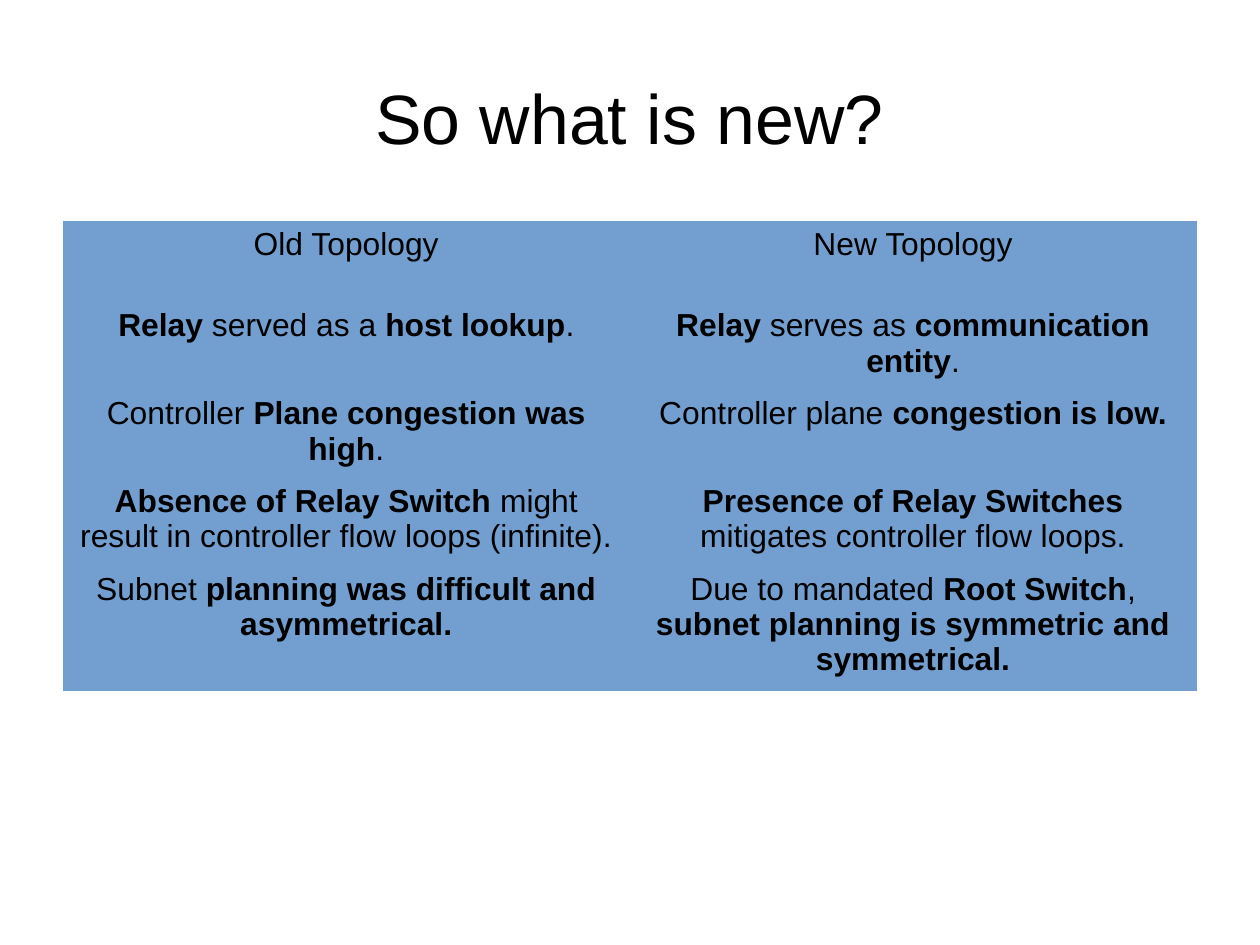
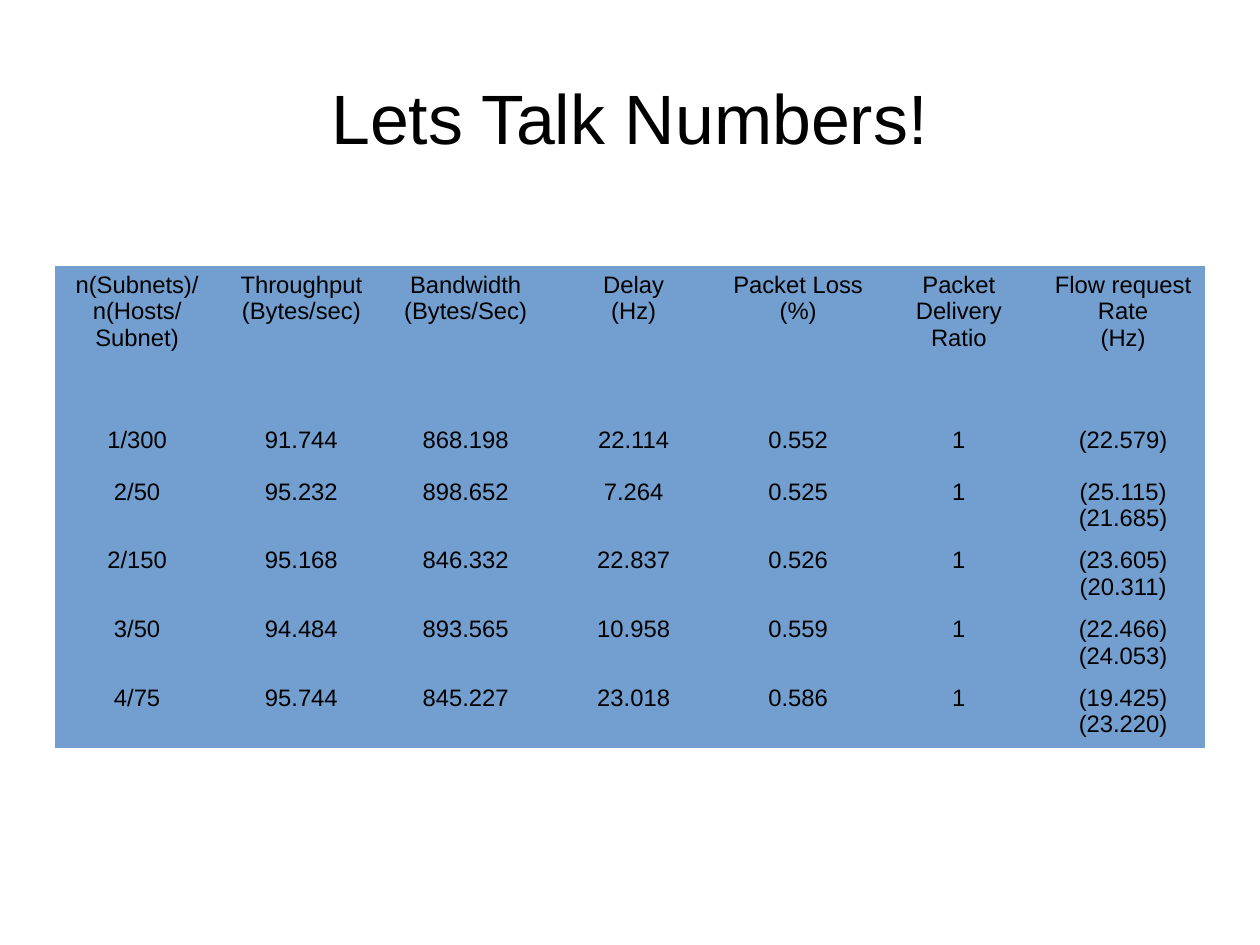
from pptx import Presentation
from pptx.dml.color import RGBColor
from pptx.enum.text import MSO_ANCHOR, PP_ALIGN
from pptx.util import Pt

# Shared look
FONT = "Arial"
INK = "000000"
CELL_BLUE = "729FCF"
NO_STYLE_NO_GRID = "{2D5ABB26-0587-4C30-8999-92F81FD0307C}"
SLIDE_SIZE = (793.75, 595.25)
TITLE_BOX = (39.6, 23.8, 714.2, 99.2)

# Text between ** marks is bold; a line break starts a new paragraph
TOPOLOGIES = [
    ("Old Topology", "New Topology"),
    ("**Relay** served as a **host lookup**.",
     "**Relay** serves as **communication entity**."),
    ("Controller **Plane congestion was high**.",
     "Controller plane **congestion is low.**"),
    ("**Absence of Relay Switch** might result in controller flow loops (infinite).",
     "**Presence of Relay Switches** mitigates controller flow loops."),
    ("Subnet **planning was difficult and asymmetrical.**",
     "Due to mandated **Root Switch**, **subnet planning is symmetric and symmetrical.**"),
]
MEASUREMENTS = [
    ("n(Subnets)/n(Hosts/Subnet)", "Throughput (Bytes/sec)", "Bandwidth (Bytes/Sec)",
     "Delay\n(Hz)", "Packet Loss (%)", "Packet Delivery Ratio", "Flow request Rate\n(Hz)"),
    ("1/300", "91.744", "868.198", "22.114", "0.552", "1", "(22.579)"),
    ("2/50", "95.232", "898.652", "7.264", "0.525", "1", "(25.115)(21.685)"),
    ("2/150", "95.168", "846.332", "22.837", "0.526", "1", "(23.605) (20.311)"),
    ("3/50", "94.484", "893.565", "10.958", "0.559", "1", "(22.466)\n(24.053)"),
    ("4/75", "95.744", "845.227", "23.018", "0.586", "1", "(19.425)\n(23.220)"),
]


def color(hex_code):
    return RGBColor.from_string(hex_code)


def write(frame, text, size):
    """Fill a text frame with centred paragraphs, run by run."""
    for i, line in enumerate(text.split("\n")):
        paragraph = frame.add_paragraph() if i else frame.paragraphs[0]
        paragraph.alignment = PP_ALIGN.CENTER
        for j, part in enumerate(line.split("**")):
            if part:
                run = paragraph.add_run()
                run.text = part
                run.font.name = FONT
                run.font.size = Pt(size)
                run.font.bold = j % 2 == 1
                run.font.color.rgb = color(INK)


def add_title(slide, text, box):
    frame = slide.shapes.add_textbox(*map(Pt, box)).text_frame
    frame.word_wrap = True
    frame.margin_left = frame.margin_top = frame.margin_right = frame.margin_bottom = 0
    frame.vertical_anchor = MSO_ANCHOR.MIDDLE
    write(frame, text, 44)


def add_blue_table(slide, rows, left, top, widths, heights, size):
    table = slide.shapes.add_table(len(rows), len(widths), Pt(left), Pt(top),
                                   Pt(sum(widths)), Pt(sum(heights))).table
    # Plain table without borders or banding
    table.first_row = table.horz_banding = False
    table._tbl.tblPr.find("{*}tableStyleId").text = NO_STYLE_NO_GRID
    for column, width in zip(table.columns, widths):
        column.width = Pt(width)
    for row, height, texts in zip(table.rows, heights, rows):
        row.height = Pt(height)
        for cell, text in zip(row.cells, texts):
            cell.fill.solid()
            cell.fill.fore_color.rgb = color(CELL_BLUE)
            write(cell.text_frame, text, size)


def add_table_slide(prs, title, **table):
    slide = prs.slides.add_slide(prs.slide_layouts[6])
    add_title(slide, title, TITLE_BOX)
    add_blue_table(slide, **table)


def main():
    prs = Presentation()
    prs.slide_width, prs.slide_height = map(Pt, SLIDE_SIZE)

    # Comparison of the topologies
    add_table_slide(prs, "So what is new?", rows=TOPOLOGIES, left=39.6, top=139,
                    widths=[357.1] * 2, heights=[51.5] + [52] * 3 + [77.6], size=20)

    # Measured results
    add_table_slide(prs, "Lets Talk Numbers!", rows=MEASUREMENTS, left=34.6, top=167.6,
                    widths=[103.5] * 3 + [108.2, 99] + [103.5] * 2,
                    heights=[97.8, 32.6] + [40.7] * 4, size=15)

    prs.save("out.pptx")


if __name__ == "__main__":
    main()
